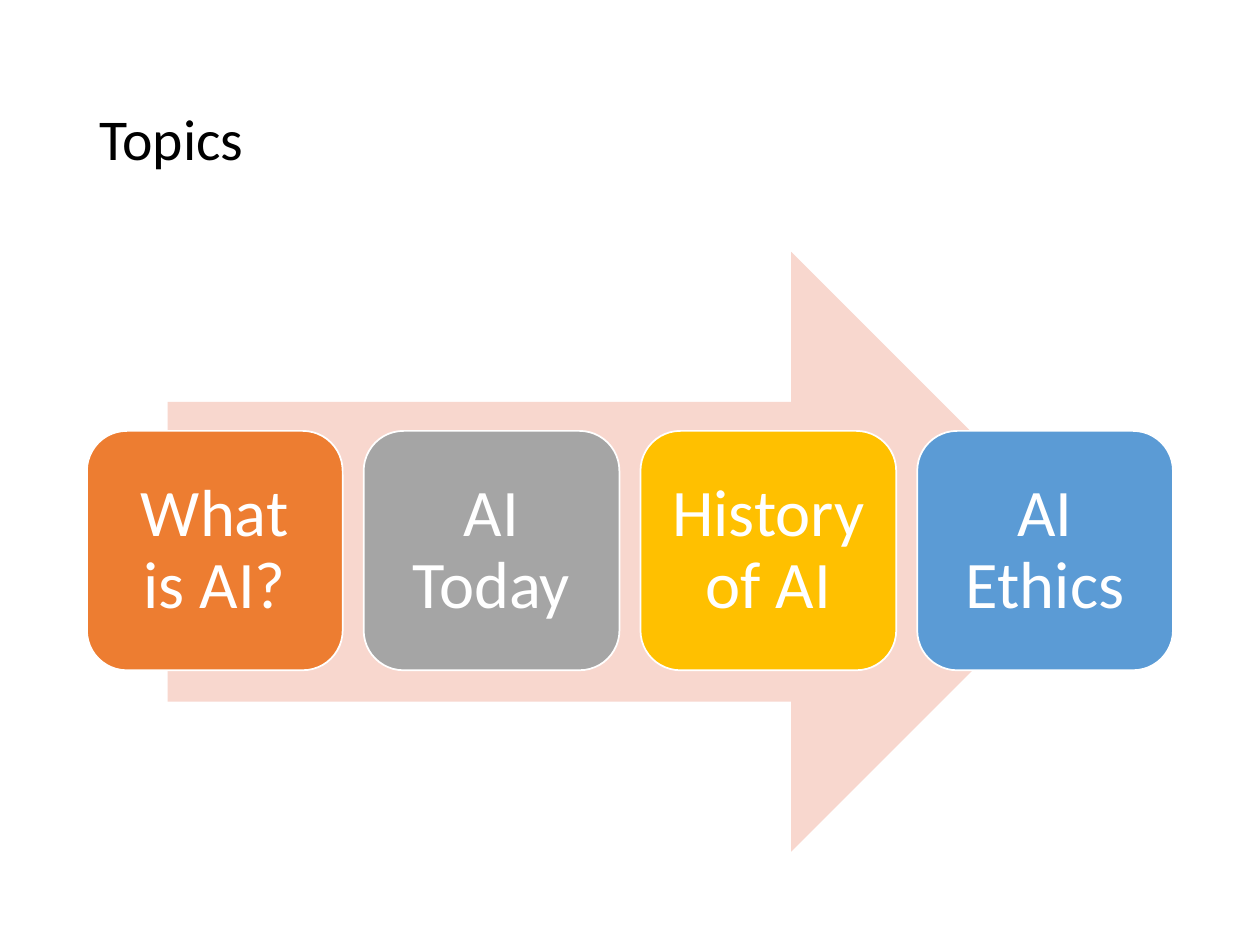
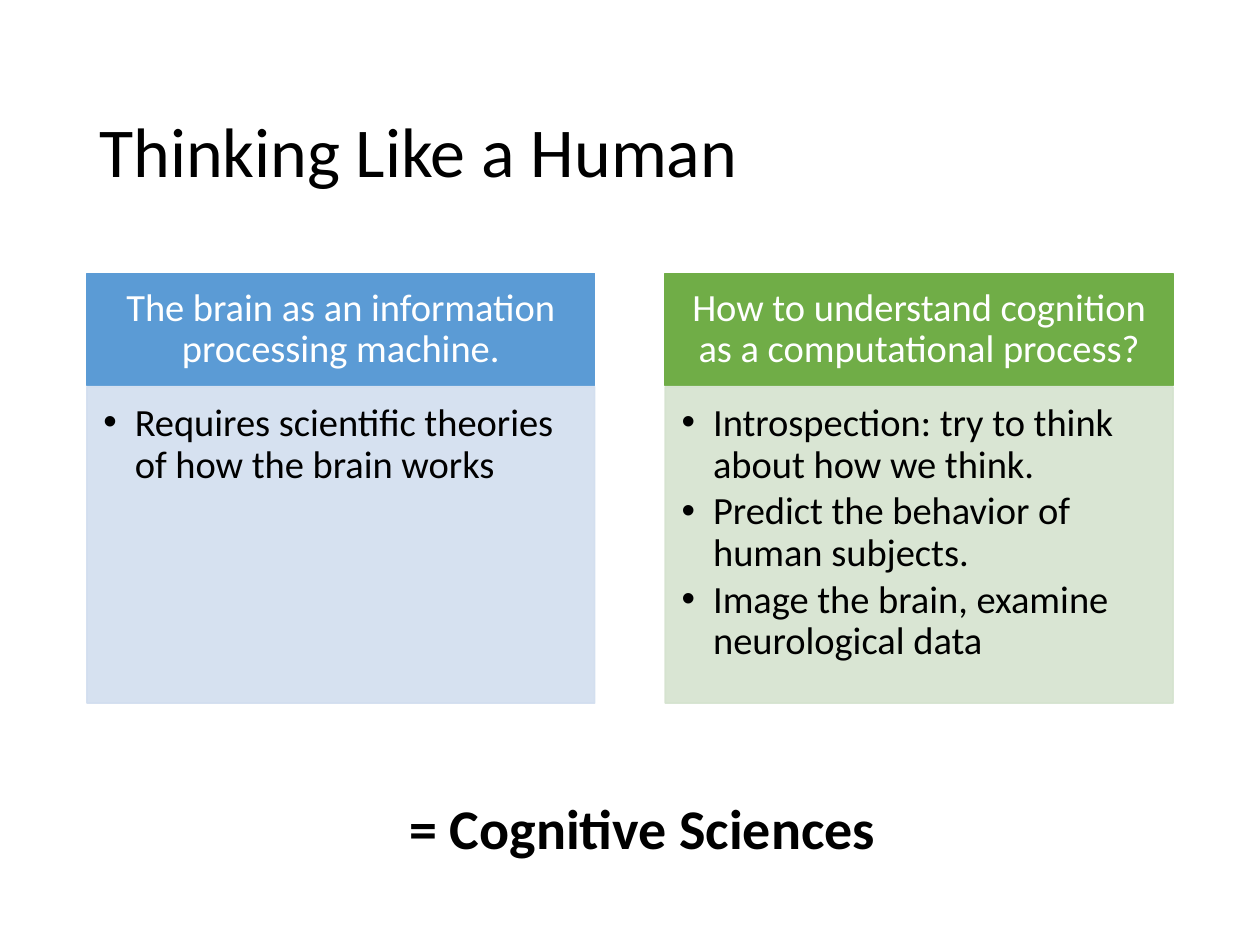
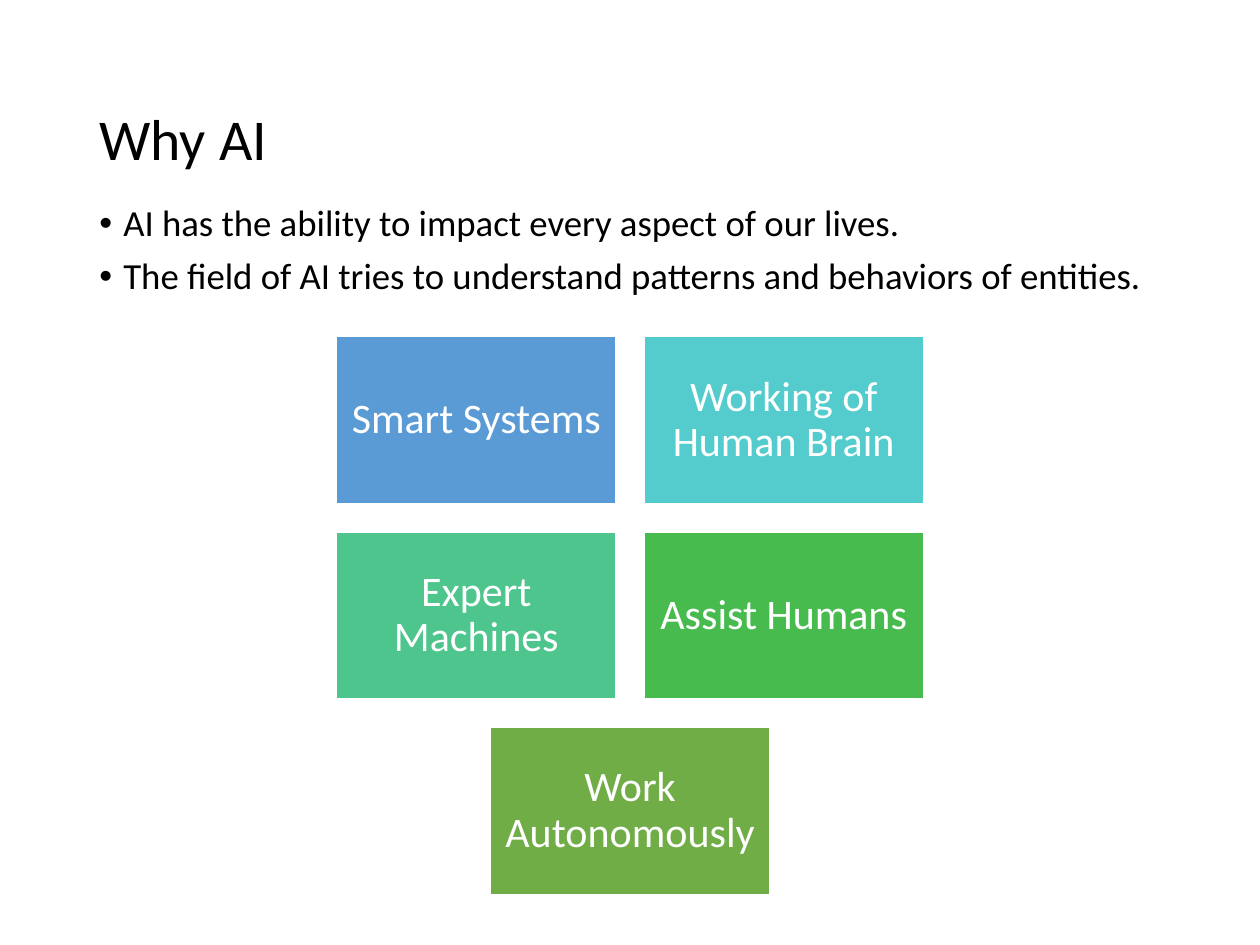
from lxml import etree
from pptx import Presentation
from pptx.dml.color import RGBColor
from pptx.enum.shapes import MSO_SHAPE
from pptx.enum.text import MSO_ANCHOR, PP_ALIGN
from pptx.oxml.ns import qn
from pptx.util import Inches, Pt

RECT = MSO_SHAPE.RECTANGLE
ROUND = MSO_SHAPE.ROUNDED_RECTANGLE
ARROW = MSO_SHAPE.RIGHT_ARROW
TOP = MSO_ANCHOR.TOP
MIDDLE = MSO_ANCHOR.MIDDLE
LEFT = PP_ALIGN.LEFT
CENTER = PP_ALIGN.CENTER

FONT = "Calibri"
BLACK = "000000"
WHITE = "FFFFFF"
BLUE = "5B9BD5"
GREEN = "70AD47"
EDGE = 0.69
WIDE = 8.62
PAD = (0.1, 0.05, 0.1, 0.05)


def color(code):
    return RGBColor.from_string(code)


def add_bullet(para, indent):
    props = para._p.get_or_add_pPr()
    props.set("marL", str(Inches(indent)))
    props.set("indent", str(-Inches(indent)))
    etree.SubElement(props, qn("a:buFont")).set("typeface", "Arial")
    etree.SubElement(props, qn("a:buChar")).set("char", "•")


def write(shape, lines, size, ink=BLACK, align=LEFT, anchor=MIDDLE, pad=PAD,
          indent=0, gap=0, bold=False, spacing=0.9, wrap=True):
    frame = shape.text_frame
    frame.word_wrap = wrap
    frame.vertical_anchor = anchor
    (frame.margin_left, frame.margin_top,
     frame.margin_right, frame.margin_bottom) = map(Inches, pad)
    frame.text = "\n".join(lines)
    for order, para in enumerate(frame.paragraphs):
        para.alignment = align
        para.line_spacing = spacing
        para.space_before = Pt(gap if order else 0)
        if indent:
            add_bullet(para, indent)
        for run in para.runs:
            run.font.name = FONT
            run.font.size = Pt(size)
            run.font.bold = bold
            run.font.color.rgb = color(ink)


def add_box(slide, kind, place, fill, line=None, alpha=None):
    box = slide.shapes.add_shape(kind, *map(Inches, place))
    box.shadow.inherit = False
    box.fill.solid()
    box.fill.fore_color.rgb = color(fill)
    if line:
        box.line.color.rgb = color(line)
        box.line.width = Pt(1)
    else:
        box.line.fill.background()
    if alpha:
        for tint in box._element.spPr.iter(qn("a:srgbClr")):
            etree.SubElement(tint, qn("a:alpha")).set("val", str(alpha * 1000))
    return box


def add_text(slide, place, lines, size, **style):
    write(slide.shapes.add_textbox(*map(Inches, place)), lines, size, **style)


def add_tile(slide, kind, place, text, fill, size, pad, line=WHITE):
    tile = add_box(slide, kind, place, fill, line)
    write(tile, [text], size, WHITE, CENTER, pad=pad)


def add_panel(slide, left, head, points, fill, tint):
    add_tile(slide, RECT, (left, 2.17, 4.03, 0.89), head, fill, 22,
             (0.17, 0.1, 0.17, 0.1), fill)
    body = add_box(slide, RECT, (left, 3.07, 4.03, 2.51), tint, tint, 90)
    write(body, points, 22, anchor=TOP, pad=(0.13, 0.13, 0.17, 0.19),
          indent=0.25, gap=3)


def add_slide(deck, title, size=33, top=0.4):
    slide = deck.slides.add_slide(deck.slide_layouts[6])
    add_text(slide, (EDGE, top, WIDE, 1.85 - top), [title], size)
    return slide


def add_topics(deck):
    slide = add_slide(deck, "Topics")
    add_box(slide, ARROW, (1.33, 2, 7.33, 4.76), "F8D7CE")
    topics = [("What is AI?", "ED7D31"), ("AI Today", "A5A5A5"),
              ("History of AI", "FFC000"), ("AI Ethics", BLUE)]
    width = 2.03
    step = (WIDE - width) / (len(topics) - 1)
    for order, (text, fill) in enumerate(topics):
        place = (EDGE + order * step, 3.42, width, 1.9)
        add_tile(slide, ROUND, place, text, fill, 38, (0.15,) * 4)


def add_human(deck):
    slide = add_slide(deck, "Thinking Like a Human", 40, 0.61)
    add_panel(slide, EDGE, "The brain as an information processing machine.",
              ["Requires scientific theories of how the brain works"],
              BLUE, "D2DEEF")
    add_panel(slide, 5.28,
              "How to understand cognition as a computational process?",
              ["Introspection: try to think about how we think.",
               "Predict the behavior of human subjects.",
               "Image the brain, examine neurological data"],
              GREEN, "D5E3CF")
    add_text(slide, (3.15, 6.25, 3.94, 0.64), ["= Cognitive Sciences"], 32,
             anchor=TOP, bold=True, spacing=1, wrap=False)


def add_reasons(deck):
    slide = add_slide(deck, "Why AI")
    add_text(slide, (EDGE, 1.58, WIDE, 4.76),
             ["AI has the ability to impact every aspect of our lives.",
              "The field of AI tries to understand patterns and behaviors of entities."],
             21, anchor=TOP, indent=0.19, gap=7.5)
    rows = [[("Smart Systems", BLUE), ("Working of Human Brain", "54CCCD")],
            [("Expert Machines", "4DC58D"), ("Assist Humans", "48BB4F")],
            [("Work Autonomously", GREEN)]]
    width, height, gap = 2.22, 1.33, 0.22
    for level, row in enumerate(rows):
        span = len(row) * (width + gap) - gap
        for order, (text, fill) in enumerate(row):
            place = (5 - span / 2 + order * (width + gap),
                     2.67 + level * (height + gap), width, height)
            add_tile(slide, RECT, place, text, fill, 24, (0.1,) * 4)


def main():
    deck = Presentation()
    deck.slide_width = Inches(10)
    deck.slide_height = Inches(7.5)
    add_topics(deck)
    add_human(deck)
    add_reasons(deck)
    deck.save("out.pptx")


if __name__ == "__main__":
    main()
